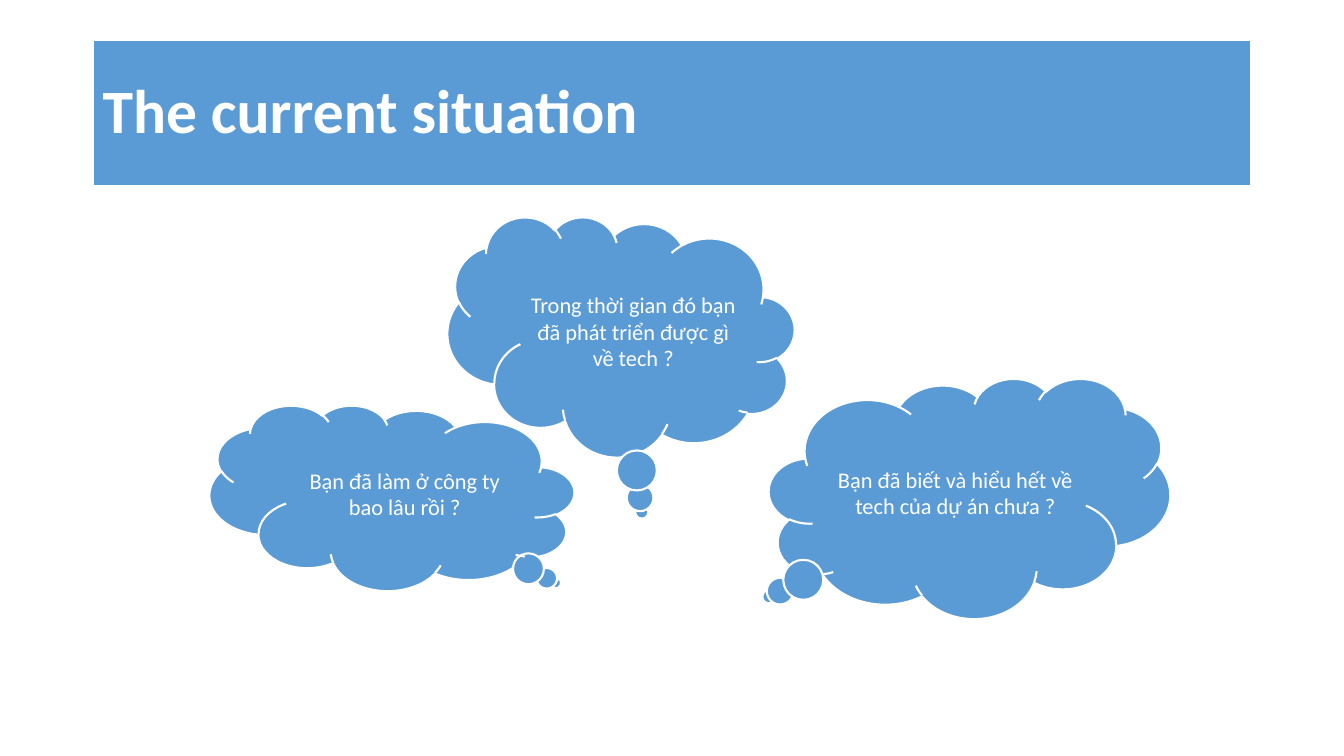
from pptx import Presentation
from pptx import util as u
from pptx.dml.color import RGBColor
from pptx.enum import shapes, text

COLOURS = {"blue": "5B9BD5", "white": "FFFFFF"}


class ThoughtSlide:
    font = "Calibri"
    outline = u.Pt(1.5)

    def __init__(self, deck):
        self.slide = deck.slides.add_slide(deck.slide_layouts[5])

    def colour(self, name):
        return RGBColor.from_string(COLOURS[name])

    def style(self, shape, wording, size, align, bold=False):
        shape.fill.solid()
        shape.fill.fore_color.rgb = self.colour("blue")
        shape.line.color.rgb = self.colour("white")
        shape.line.width = self.outline
        frame = shape.text_frame
        frame.text = wording
        frame.word_wrap = True
        frame.auto_size = text.MSO_AUTO_SIZE.NONE
        frame.vertical_anchor = text.MSO_ANCHOR.MIDDLE
        paragraph = frame.paragraphs[0]
        paragraph.alignment = align
        paragraph.font.name = self.font
        paragraph.font.size = u.Pt(size)
        paragraph.font.bold = bold
        paragraph.font.color.rgb = self.colour("white")
        return paragraph

    def title(self, wording, left, top, width, height):
        heading = self.slide.shapes.title
        heading.left, heading.top = u.Cm(left), u.Cm(top)
        heading.width, heading.height = u.Cm(width), u.Cm(height)
        paragraph = self.style(heading, wording, 44, text.PP_ALIGN.LEFT, bold=True)
        paragraph.line_spacing = 0.9

    def thought(self, question, box, tail, mirrored=False):
        """Add a cloud; tail is the offset of its tip from the centre, as shares of the size."""
        cloud = self.slide.shapes.add_shape(
            shapes.MSO_SHAPE.CLOUD_CALLOUT, *(u.Cm(length) for length in box))
        cloud.shadow.inherit = False
        cloud.adjustments[0], cloud.adjustments[1] = tail
        if mirrored:
            cloud._element.spPr.xfrm.set("flipH", "1")
        self.style(cloud, question, 16, text.PP_ALIGN.CENTER)


def main():
    deck = Presentation()
    deck.slide_width, deck.slide_height = u.Cm(33.87), u.Cm(19.05)
    situation = ThoughtSlide(deck)
    situation.title("The current situation", 2.33, 1.01, 29.21, 3.68)
    situation.thought("Trong thời gian đó bạn đã phát triển được gì về tech ?",
                      (11.28, 5.46, 8.74, 6.05), (-0.06, 0.73), mirrored=True)
    situation.thought("Bạn đã biết và hiểu hết về tech của dự án chưa ?",
                      (19.38, 9.53, 10.11, 6.05), (-0.5, 0.41))
    situation.thought("Bạn đã làm ở công ty bao lâu rồi ?",
                      (5.28, 10.21, 9.19, 4.67), (-0.45, 0.46), mirrored=True)
    deck.save("out.pptx")


if __name__ == "__main__":
    main()
